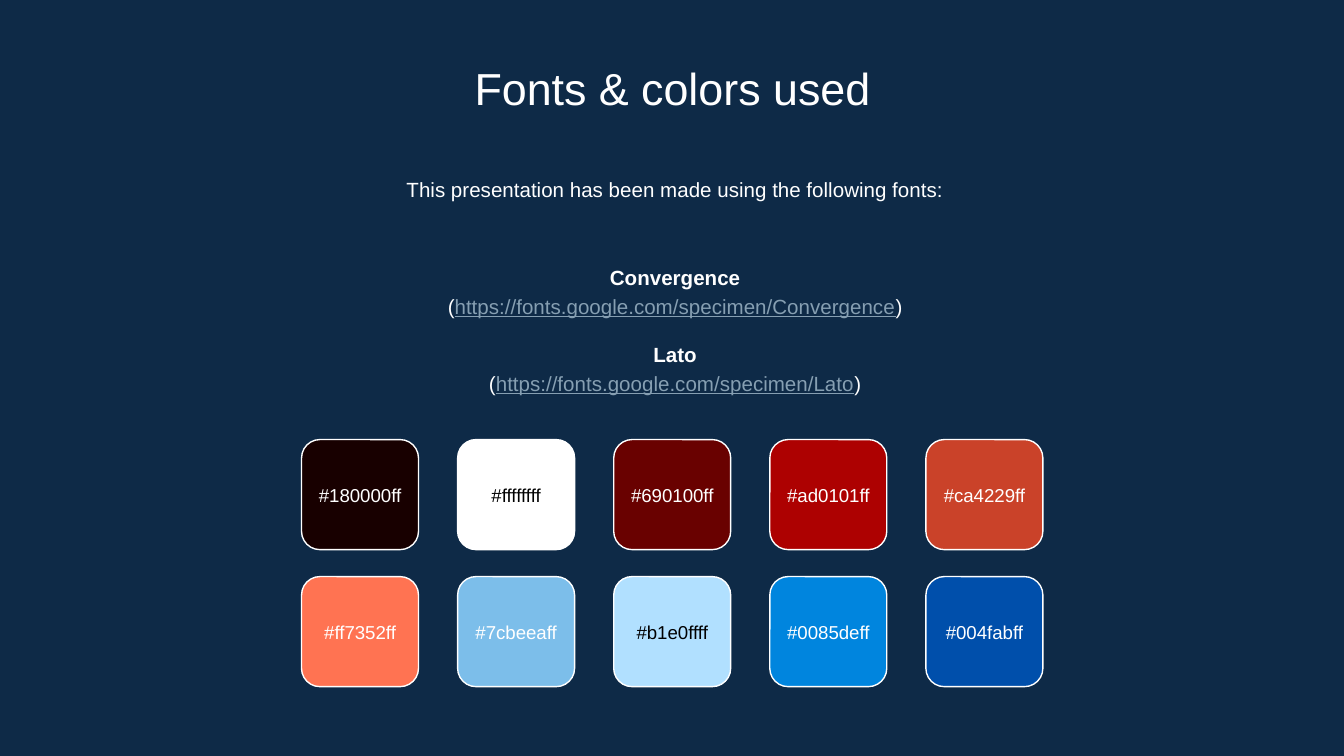
from dataclasses import dataclass

from pptx import Presentation
from pptx.dml.color import RGBColor
from pptx.enum.shapes import MSO_SHAPE
from pptx.enum.text import MSO_ANCHOR, PP_ALIGN
from pptx.util import Cm, Pt

ROUNDED = MSO_SHAPE.ROUNDED_RECTANGLE
CENTER = PP_ALIGN.CENTER
TOP, MIDDLE = MSO_ANCHOR.TOP, MSO_ANCHOR.MIDDLE

FONT = "Arial"
NAVY, WHITE, BLACK, LINK = "0E2A47", "FFFFFF", "000000", "869FB2"

# Swatch grid, in centimetres
COLUMNS = 5
GRID_LEFT, GRID_TOP = 5.7, 8.31
COLUMN_STEP, ROW_STEP = 2.95, 2.59
SWATCH_WIDTH, SWATCH_HEIGHT, LABEL_HEIGHT = 2.21, 2.08, 1.22


@dataclass
class Area:
    left: float
    top: float
    width: float
    height: float

    def lengths(self) -> tuple:
        return Cm(self.left), Cm(self.top), Cm(self.width), Cm(self.height)


@dataclass
class Line:
    text: str
    size: float = 11
    color: str = WHITE
    bold: bool = False
    is_link: bool = False
    spacing: float = 1.15
    space_before: float = 0


@dataclass
class Swatch:
    label: str
    label_color: str = WHITE


def rgb(color: str) -> RGBColor:
    return RGBColor.from_string(color.upper())


def add_text(page, area: Area, lines: list[Line], anchor=TOP) -> None:
    frame = page.shapes.add_textbox(*area.lengths()).text_frame
    frame.word_wrap = True
    frame.vertical_anchor = anchor
    frame.margin_left = frame.margin_right = Cm(0.25)
    frame.margin_top = frame.margin_bottom = Cm(0.25)
    for index, line in enumerate(lines):
        para = frame.add_paragraph() if index else frame.paragraphs[0]
        para.alignment = CENTER
        para.line_spacing = line.spacing
        if line.space_before:
            para.space_before = Pt(line.space_before)
        para.font.name = FONT
        para.font.size = Pt(line.size)
        para.font.bold = line.bold
        para.font.color.rgb = rgb(line.color)
        for text in ("(", line.text, ")") if line.is_link else (line.text,):
            span = para.add_run()
            span.text = text
            if line.is_link and text == line.text:
                span.font.underline = True
                span.font.color.rgb = rgb(LINK)


def add_swatch(page, swatch: Swatch, left: float, top: float) -> None:
    area = Area(left, top, SWATCH_WIDTH, SWATCH_HEIGHT)
    box = page.shapes.add_shape(ROUNDED, *area.lengths())
    box.shadow.inherit = False
    box.fill.solid()
    box.fill.fore_color.rgb = rgb(swatch.label[1:7])
    box.line.color.rgb = rgb(WHITE)
    box.line.width = Pt(0.75)
    label_top = top + (SWATCH_HEIGHT - LABEL_HEIGHT) / 2
    add_text(page, Area(left, label_top, SWATCH_WIDTH, LABEL_HEIGHT),
             [Line(swatch.label, 10, swatch.label_color, spacing=1.0)], MIDDLE)


SWATCHES = [
    Swatch("#180000ff"), Swatch("#ffffffff", BLACK), Swatch("#690100ff"),
    Swatch("#ad0101ff"), Swatch("#ca4229ff"),
    Swatch("#ff7352ff"), Swatch("#7cbeeaff"), Swatch("#b1e0ffff", BLACK),
    Swatch("#0085deff"), Swatch("#004fabff"),
]


def main() -> None:
    deck = Presentation()
    deck.slide_width, deck.slide_height = Cm(25.4), Cm(14.29)
    page = deck.slides.add_slide(deck.slide_layouts[6])
    page.background.fill.solid()
    page.background.fill.fore_color.rgb = rgb(NAVY)

    # Title and introduction
    add_text(page, Area(2.92, 0.89, 19.58, 1.35),
             [Line("Fonts & colors used", 24, spacing=1.0)])
    add_text(page, Area(2.97, 3.02, 19.58, 1.22),
             [Line("This presentation has been made using the following fonts:")])

    # Fonts
    add_text(page, Area(2.97, 4.47, 19.58, 3.48), [
        Line("Convergence", bold=True),
        Line("https://fonts.google.com/specimen/Convergence", is_link=True),
        Line("Lato", bold=True, space_before=11),
        Line("https://fonts.google.com/specimen/Lato", is_link=True),
    ], MIDDLE)

    # Colors
    for index, swatch in enumerate(SWATCHES):
        row, column = divmod(index, COLUMNS)
        add_swatch(page, swatch, GRID_LEFT + column * COLUMN_STEP,
                   GRID_TOP + row * ROW_STEP)

    deck.save("out.pptx")


if __name__ == "__main__":
    main()
